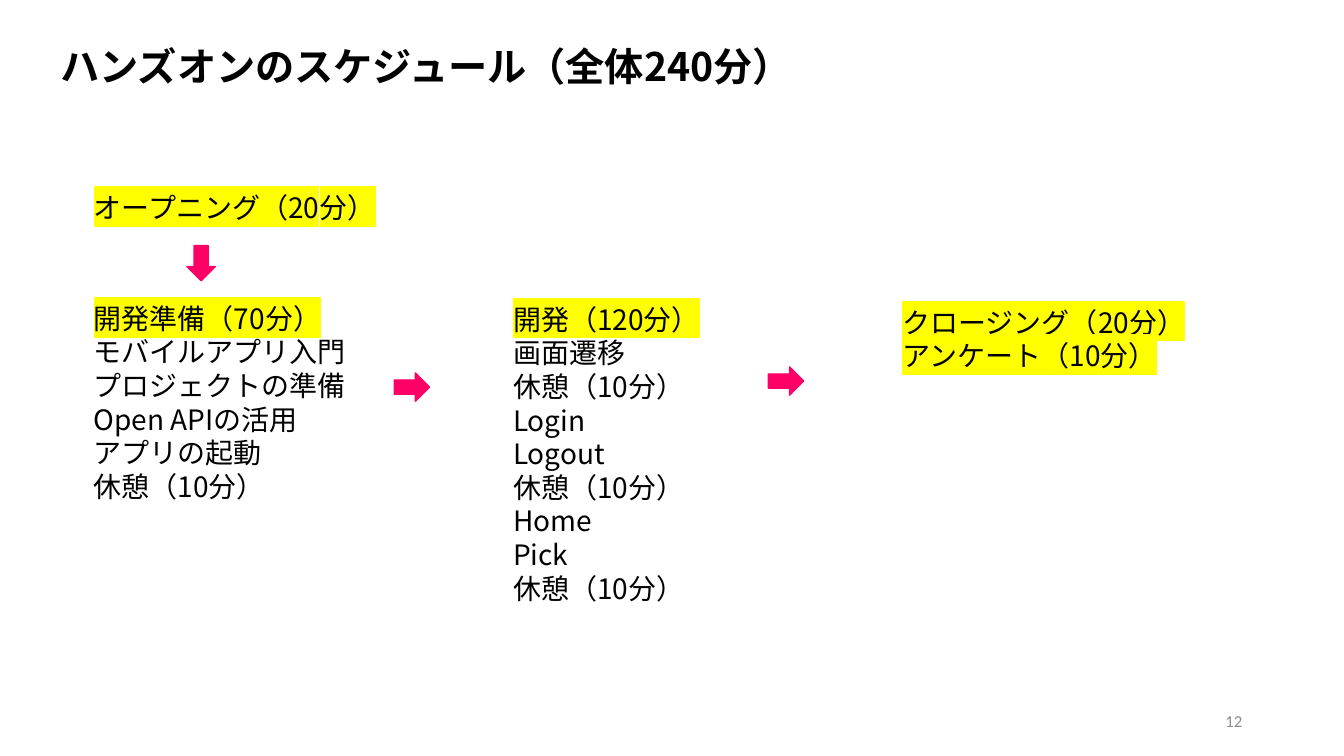
from dataclasses import dataclass
from typing import Optional

from lxml.etree import SubElement
from pptx import Presentation
from pptx.dml.color import RGBColor
from pptx.enum.shapes import MSO_SHAPE
from pptx.enum.text import MSO_ANCHOR, MSO_AUTO_SIZE, PP_ALIGN
from pptx.oxml.ns import qn
from pptx.slide import Slide
from pptx.util import Inches, Pt

BLACK = RGBColor(0x00, 0x00, 0x00)
GRAY = RGBColor(0x8C, 0x8C, 0x8C)
PINK = RGBColor(0xFF, 0x00, 0x66)
YELLOW = RGBColor(0xFF, 0xFF, 0x00)
NOTO = "Noto Sans CJK JP"


@dataclass
class Block:
    left: float
    top: float
    width: float
    height: float
    lines: list[str]
    marked: int = 0
    size: int = 20
    font: str = NOTO
    color: RGBColor = BLACK
    bold: bool = False
    pitch: Optional[int] = 24
    align: PP_ALIGN = PP_ALIGN.LEFT
    anchor: MSO_ANCHOR = MSO_ANCHOR.TOP
    grow: bool = True


@dataclass
class Arrow:
    left: float
    top: float
    turn: int = 0


BREAK = "休憩（10分）"

BLOCKS = [
    Block(0.5, 0.37, 9.19, 0.57, ["ハンズオンのスケジュール（全体240分）"],
          size=28, bold=True, pitch=None),
    Block(0.83, 1.84, 4.01, 0.44, ["オープニング（20分）"], marked=1),
    Block(0.83, 2.94, 3.23, 2.12,
          ["開発準備（70分）", "モバイルアプリ入門", "プロジェクトの準備",
           "Open APIの活用", "アプリの起動", BREAK], marked=1),
    Block(4.99, 2.95, 3.23, 3.13,
          ["開発（120分）", "画面遷移", BREAK, "Login", "Logout", BREAK,
           "Home", "Pick", BREAK], marked=1),
    Block(8.85, 2.98, 3.23, 0.77,
          ["クロージング（20分）", "アンケート（10分）"], marked=2),
    Block(9.42, 6.95, 3, 0.4, ["12"], size=12, font="Calibri", color=GRAY,
          pitch=None, align=PP_ALIGN.RIGHT, anchor=MSO_ANCHOR.MIDDLE,
          grow=False),
]

ARROWS = [Arrow(1.82, 2.47, 90), Arrow(3.91, 3.7), Arrow(7.62, 3.64)]


def add_block(slide: Slide, block: Block) -> None:
    box = slide.shapes.add_textbox(Inches(block.left), Inches(block.top),
                                   Inches(block.width), Inches(block.height))
    frame = box.text_frame
    frame.word_wrap = True
    frame.vertical_anchor = block.anchor
    frame.auto_size = (MSO_AUTO_SIZE.SHAPE_TO_FIT_TEXT if block.grow
                       else MSO_AUTO_SIZE.NONE)
    for index, line in enumerate(block.lines):
        para = frame.add_paragraph() if index else frame.paragraphs[0]
        para.alignment = block.align
        if block.pitch:
            para.line_spacing = Pt(block.pitch)
        run = para.add_run()
        run.text = line
        font = run.font
        font.size = Pt(block.size)
        font.bold = block.bold
        font.color.rgb = block.color
        props = run._r.get_or_add_rPr()
        if index < block.marked:
            mark = SubElement(props, qn("a:highlight"))
            SubElement(mark, qn("a:srgbClr"), val=str(YELLOW))
        font.name = block.font
        SubElement(props, qn("a:ea"), typeface=block.font)


def add_arrow(slide: Slide, arrow: Arrow) -> None:
    shape = slide.shapes.add_shape(MSO_SHAPE.RIGHT_ARROW, Inches(arrow.left),
                                   Inches(arrow.top), Inches(0.35), Inches(0.28))
    shape.rotation = arrow.turn
    shape.shadow.inherit = False
    shape.fill.solid()
    shape.fill.fore_color.rgb = PINK
    shape.line.color.rgb = PINK
    shape.line.width = Pt(1)


def main() -> None:
    deck = Presentation()
    deck.slide_width = Inches(13.33)
    deck.slide_height = Inches(7.5)
    slide = deck.slides.add_slide(deck.slide_layouts[6])
    for block in BLOCKS:
        add_block(slide, block)
    for arrow in ARROWS:
        add_arrow(slide, arrow)
    deck.save("out.pptx")


if __name__ == "__main__":
    main()
